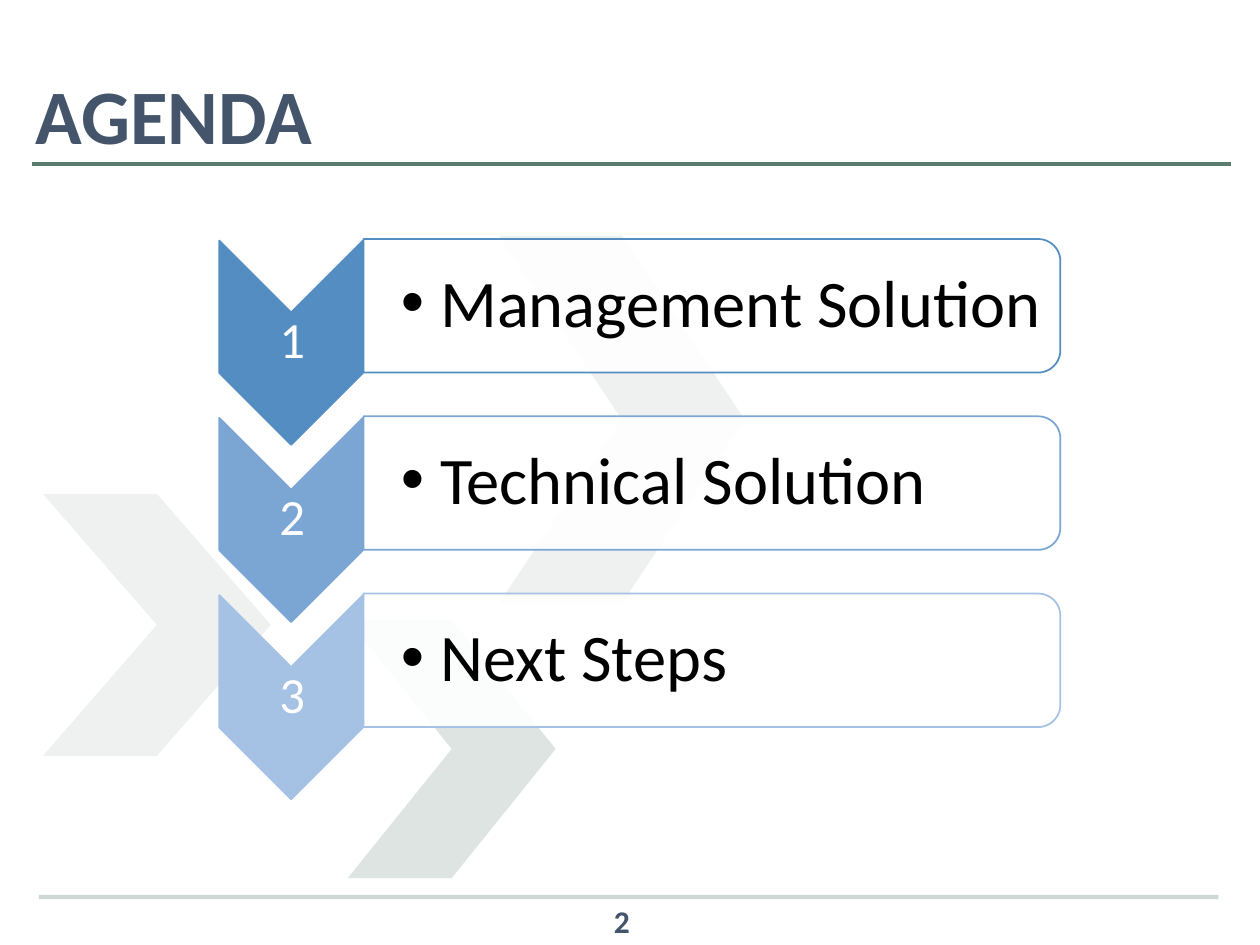
from dataclasses import dataclass

from lxml import etree
from pptx import Presentation
from pptx.dml.color import RGBColor
from pptx.enum import shapes, text
from pptx.oxml import ns
from pptx.util import Pt

COLORS = {
    "green": "5A7C6E",
    "slate": "44546A",
    "white": "FFFFFF",
    "black": "000000",
    "step1": "538DC1",
    "step2": "7BA6D3",
    "step3": "A5C1E3",
}
FONT = "Calibri"
STEP_PITCH = 101.3
COMPARISON_LAYOUT = 4


@dataclass(frozen=True)
class Box:
    """A visible frame, in points."""
    left: float
    top: float
    width: float
    height: float

    def down(self, distance: float) -> "Box":
        return Box(self.left, self.top + distance, self.width, self.height)

    def turned(self) -> "Box":
        """The frame that covers this one after a quarter turn."""
        shift = (self.width - self.height) / 2
        return Box(self.left + shift, self.top - shift, self.height, self.width)

    def lengths(self) -> tuple:
        return Pt(self.left), Pt(self.top), Pt(self.width), Pt(self.height)


@dataclass(frozen=True)
class Chevron:
    box: Box
    opacity: int


@dataclass(frozen=True)
class Rule:
    left: float
    right: float
    top: float
    opacity: int


@dataclass(frozen=True)
class Step:
    title: str
    color: str
    placeholder: int


CHEVRONS = [
    Chevron(Box(24.5, 282.2, 130.3, 149.8), 10),
    Chevron(Box(198.7, 354.2, 118.8, 147.6), 20),
    Chevron(Box(285.1, 134.6, 140.4, 210.2), 10),
]
RULES = [Rule(18, 703.4, 93.6, 100), Rule(22.3, 696.2, 512.6, 30)]
STEPS = [
    Step("Management Solution", "step1", 1),
    Step("Technical Solution", "step2", 2),
    Step("Next Steps", "step3", 3),
]

# Frames of the first step
ARROW = Box(125.3, 137.5, 82.1, 116.6)
NUMBER = Box(126, 177.8, 82.1, 35.3)
PANEL = Box(207.7, 136.6, 398.2, 76.3)
ITEM = Box(207.4, 140.4, 394.6, 68.4)


def rgb(color: str) -> RGBColor:
    return RGBColor.from_string(COLORS[color])


def set_opacity(properties, percent: int) -> None:
    """Make the first solid colour inside the properties translucent."""
    color = properties.find(".//" + ns.qn("a:srgbClr"))
    etree.SubElement(color, ns.qn("a:alpha"), val=str(percent * 1000))


def add_shape(slide, kind, box: Box, fill: str, opacity: int = 100,
              line: str = "", turned: bool = False):
    frame = box.turned() if turned else box
    shape = slide.shapes.add_shape(kind, *frame.lengths())
    shape.rotation = 90 if turned else 0
    shape.shadow.inherit = False
    shape.fill.solid()
    shape.fill.fore_color.rgb = rgb(fill)
    if opacity < 100:
        set_opacity(shape.element.spPr, opacity)
    if line:
        shape.line.color.rgb = rgb(line)
        shape.line.width = Pt(1)
    else:
        shape.line.fill.background()
    return shape


def add_rule(slide, rule: Rule) -> None:
    connector = slide.shapes.add_connector(
        shapes.MSO_CONNECTOR.STRAIGHT,
        Pt(rule.left), Pt(rule.top), Pt(rule.right), Pt(rule.top))
    connector.line.color.rgb = rgb("green")
    connector.line.width = Pt(2.5)
    properties = connector.element.spPr
    if rule.opacity < 100:
        set_opacity(properties, rule.opacity)
    etree.SubElement(properties, ns.qn("a:effectLst"))


def write_text(shape, words: str, *, size: float, color: str, bold: bool = False,
               align=text.PP_ALIGN.LEFT, spacing: float = 0.9,
               insets: tuple = (7.2, 3.6, 7.2, 3.6), bullet_indent: float = 0) -> None:
    frame = shape.text_frame
    frame.word_wrap = True
    frame.auto_size = text.MSO_AUTO_SIZE.NONE
    frame.vertical_anchor = text.MSO_ANCHOR.MIDDLE
    (frame.margin_left, frame.margin_top,
     frame.margin_right, frame.margin_bottom) = map(Pt, insets)
    paragraph = frame.paragraphs[0]
    paragraph.alignment = align
    paragraph.line_spacing = spacing
    paragraph.space_before = Pt(0)
    run = paragraph.add_run()
    run.text = words
    run.font.name = FONT
    run.font.size = Pt(size)
    run.font.bold = bold
    run.font.color.rgb = rgb(color)
    if bullet_indent:
        properties = paragraph._p.get_or_add_pPr()
        properties.set("marL", str(Pt(bullet_indent)))
        properties.set("indent", str(-Pt(bullet_indent)))
        etree.SubElement(properties, ns.qn("a:buFont"), typeface="Arial")
        etree.SubElement(properties, ns.qn("a:buChar"), char="•")


def place(shape, box: Box) -> None:
    """Move a placeholder to its frame, in front of everything drawn so far."""
    shape.left, shape.top, shape.width, shape.height = box.lengths()
    tree = shape.element.getparent()
    tree.append(shape.element)


def add_step(slide, index: int, step: Step) -> None:
    offset = index * STEP_PITCH
    add_shape(slide, shapes.MSO_SHAPE.CHEVRON, ARROW.down(offset), step.color,
              line=step.color, turned=True)
    number = slide.shapes.add_textbox(*NUMBER.down(offset).lengths())
    write_text(number, str(index + 1), size=29, color="white",
               align=text.PP_ALIGN.CENTER, insets=(1.4,) * 4)
    add_shape(slide, shapes.MSO_SHAPE.ROUND_2_SAME_RECTANGLE, PANEL.down(offset),
              "white", opacity=90, line=step.color, turned=True)
    item = slide.placeholders[step.placeholder]
    place(item, ITEM.down(offset))
    write_text(item, step.title, size=38, color="black",
               insets=(21.6, 2.2, 2.2, 2.2), bullet_indent=22.5)


def main() -> None:
    presentation = Presentation()
    presentation.slide_width, presentation.slide_height = Pt(720), Pt(540)
    slide = presentation.slides.add_slide(presentation.slide_layouts[COMPARISON_LAYOUT])
    spare = slide.placeholders[4].element
    spare.getparent().remove(spare)

    # Background and page number
    for chevron in CHEVRONS:
        add_shape(slide, shapes.MSO_SHAPE.CHEVRON, chevron.box, "green", chevron.opacity)
    for rule in RULES:
        add_rule(slide, rule)
    page_number = slide.shapes.add_textbox(*Box(274.3, 511.9, 162, 28.8).lengths())
    write_text(page_number, "2", size=18, color="slate", bold=True,
               align=text.PP_ALIGN.CENTER, spacing=1.0)

    # Title
    title = slide.shapes.title
    place(title, Box(13, 34.6, 620.6, 67))
    write_text(title, "AGENDA", size=44, color="slate", bold=True)

    # Agenda steps
    for index, step in enumerate(STEPS):
        add_step(slide, index, step)

    presentation.save("out.pptx")


if __name__ == "__main__":
    main()
